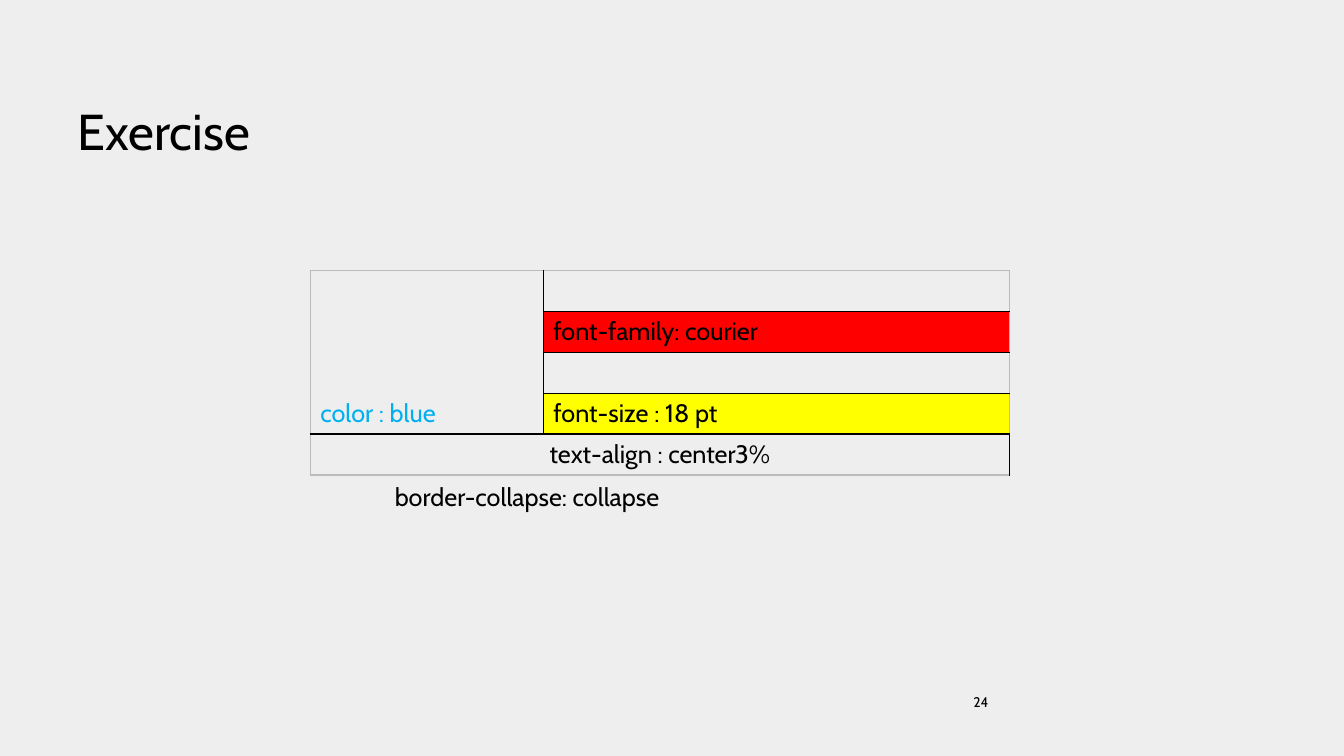
from lxml import etree
from pptx import Presentation
from pptx.dml.color import RGBColor
from pptx.enum.text import MSO_ANCHOR as Anchor, MSO_AUTO_SIZE as AutoSize, PP_ALIGN as Align
from pptx.oxml.ns import qn
from pptx.util import Cm, Pt

BACKGROUND = RGBColor(0xEE, 0xEE, 0xEE)
BLACK = RGBColor(0, 0, 0)
GREY = RGBColor(0xBB, 0xBB, 0xBB)
BLUE = RGBColor(0x00, 0xB0, 0xF0)
RED = RGBColor(0xFF, 0, 0)
YELLOW = RGBColor(0xFF, 0xFF, 0)
FONT = "Cabin"


def write(frame, text, size, color=BLACK, align=Align.LEFT):
    para = frame.paragraphs[0]
    para.text = text
    para.alignment = align
    para.font.name = FONT
    para.font.size = Pt(size)
    para.font.color.rgb = color


def add_title(page, box, text):
    title = page.shapes.title
    title.left, title.top, title.width, title.height = box
    frame = title.text_frame
    frame.vertical_anchor = Anchor.BOTTOM
    frame.auto_size = AutoSize.NONE
    write(frame, text, 36)


def add_label(page, box, text, size, wrap=True):
    frame = page.shapes.add_textbox(*box).text_frame
    frame.word_wrap = wrap
    write(frame, text, size)


def set_border(cell, side, color):
    line = etree.SubElement(cell._tc.get_or_add_tcPr(), qn("a:" + side), w=str(Pt(1)))
    fill = etree.SubElement(line, qn("a:solidFill"))
    etree.SubElement(fill, qn("a:srgbClr"), val=str(color))


def add_style_table(page, box):
    left, top, width, height = box
    row_count, column_count = 5, 2
    table = page.shapes.add_table(row_count, column_count, *box).table
    table.first_row = table.horz_banding = False
    table.columns[0].width = width // 3
    table.columns[1].width = width - width // 3
    for row in table.rows:
        row.height = height // row_count

    fills = {(1, 1): RED, (3, 1): YELLOW}
    last_row, last_column = row_count - 1, column_count - 1
    for row in range(row_count):
        for column in range(column_count):
            cell = table.cell(row, column)
            outer_sides = {
                "lnL": column == 0,
                "lnR": column == last_column,
                "lnT": row == 0,
                "lnB": row == last_row,
            }
            for side, is_outer in outer_sides.items():
                set_border(cell, side, GREY if is_outer else BLACK)
            if (row, column) in fills:
                cell.fill.solid()
                cell.fill.fore_color.rgb = fills[row, column]
            else:
                cell.fill.background()

    table.cell(0, 0).merge(table.cell(last_row - 1, 0))
    table.cell(last_row, 0).merge(table.cell(last_row, last_column))
    table.cell(0, 0).vertical_anchor = Anchor.BOTTOM
    write(table.cell(0, 0).text_frame, "color : blue", 18, BLUE)
    write(table.cell(1, 1).text_frame, "font-family: courier", 18)
    write(table.cell(3, 1).text_frame, "font-size : 18 pt", 18)
    write(table.cell(last_row, 0).text_frame, "text-align : center3%", 18, align=Align.CENTER)


def build_exercise(deck):
    page = deck.slides.add_slide(deck.slide_layouts[5])
    page.background.fill.solid()
    page.background.fill.fore_color.rgb = BACKGROUND
    add_title(page, (Cm(1.7), Cm(1), Cm(30.48), Cm(3.17)), "Exercise")
    add_label(page, (Cm(24.28), Cm(17.35), Cm(7.9), Cm(1.32)), "24", 10)
    add_style_table(page, (Cm(7.82), Cm(6.81), Cm(17.62), Cm(5.16)))
    add_label(page, (Cm(9.7), Cm(12.01), Cm(7.24), Cm(1.02)), "border-collapse: collapse", 18, wrap=False)


def main():
    deck = Presentation()
    deck.slide_width, deck.slide_height = Cm(33.87), Cm(19.05)
    build_exercise(deck)
    deck.save("out.pptx")


if __name__ == "__main__":
    main()
